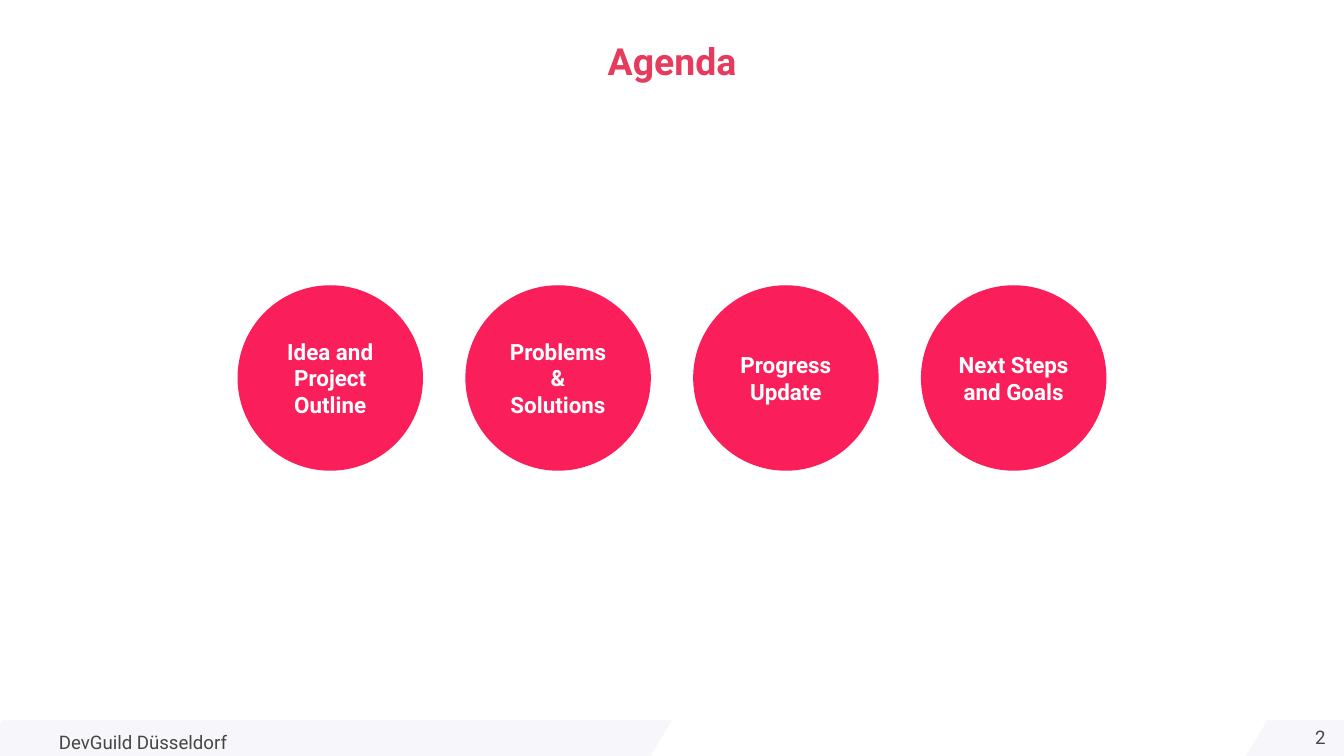
from pptx import Presentation
from pptx.dml.color import RGBColor
from pptx.enum.shapes import MSO_SHAPE as Shape
from pptx.enum.text import MSO_ANCHOR as Anchor, PP_ALIGN as Align
from pptx.util import Inches, Pt

PINK = RGBColor(0xFA, 0x1E, 0x5A)
TITLE_RED = RGBColor(0xE6, 0x3B, 0x5D)
PALE = RGBColor(0xF7, 0xF7, 0xFB)
GREY = RGBColor(0x46, 0x46, 0x46)
WHITE = RGBColor(0xFF, 0xFF, 0xFF)

WIDTH = 10
HEIGHT = WIDTH * 9 / 16
BAND_TOP = 5.36
CIRCLE_SIZE, CIRCLE_GAP = 1.38, 0.315
LABEL_WIDTH, LABEL_HEIGHT = 0.9, 0.66
TOPICS = ["Idea and Project Outline", "Problems & Solutions",
          "Progress Update", "Next Steps and Goals"]


class SlideBuilder:
    font = "Roboto"

    def __init__(self, slide):
        self.shapes = slide.shapes

    def paint(self, shape, color):
        shape.shadow.inherit = False
        shape.fill.solid()
        shape.fill.fore_color.rgb = color
        shape.line.fill.background()

    def band(self, points):
        corners = [(Inches(x), Inches(y)) for x, y in points]
        outline = self.shapes.build_freeform(*corners[0])
        outline.add_line_segments(corners[1:], close=True)
        self.paint(outline.convert_to_shape(), PALE)

    def circle(self, left, top, size):
        disc = self.shapes.add_shape(Shape.OVAL, Inches(left), Inches(top),
                                     Inches(size), Inches(size))
        self.paint(disc, PINK)

    def text(self, words, left, top, width, height, size, color, bold=False,
             align=Align.LEFT, anchor=Anchor.MIDDLE, inset=0.1, wrap=True):
        box = self.shapes.add_textbox(Inches(left), Inches(top),
                                      Inches(width), Inches(height))
        frame = box.text_frame
        frame.word_wrap = wrap
        frame.vertical_anchor = anchor
        frame.margin_left = frame.margin_right = Inches(inset)
        frame.margin_top = frame.margin_bottom = Inches(inset)
        frame.text = words
        para = frame.paragraphs[0]
        para.alignment = align
        font = para.runs[0].font
        font.name, font.size, font.bold = self.font, Pt(size), bold
        font.color.rgb = color


def main():
    deck = Presentation()
    deck.slide_width, deck.slide_height = Inches(WIDTH), Inches(HEIGHT)
    page = SlideBuilder(deck.slides.add_slide(deck.slide_layouts[6]))

    # Footer bands
    page.band([(9.27, HEIGHT), (9.43, BAND_TOP), (WIDTH, BAND_TOP), (WIDTH, HEIGHT)])
    page.band([(0, HEIGHT), (0, 5.39), (0.02, BAND_TOP), (5, BAND_TOP), (4.84, HEIGHT)])
    page.text("DevGuild Düsseldorf", 0.34, 5.34, 4.15, 0.37, 10, GREY)

    # Title and page number
    page.text("Agenda", 0.34, 0.07, 9.32, 0.76, 20, TITLE_RED, bold=True,
              align=Align.CENTER)
    page.text("2", 9.67, 5.32, 0.29, 0.37, 10, GREY, align=Align.RIGHT,
              anchor=Anchor.TOP, wrap=False)

    # Agenda circles, a row in the middle of the slide
    step = CIRCLE_SIZE + CIRCLE_GAP
    first_left = (WIDTH - step * len(TOPICS) + CIRCLE_GAP) / 2
    for index, topic in enumerate(TOPICS):
        left = first_left + index * step
        page.circle(left, (HEIGHT - CIRCLE_SIZE) / 2, CIRCLE_SIZE)
        page.text(topic, left + (CIRCLE_SIZE - LABEL_WIDTH) / 2,
                  (HEIGHT - LABEL_HEIGHT) / 2, LABEL_WIDTH, LABEL_HEIGHT,
                  12, WHITE, bold=True, align=Align.CENTER, inset=0.03)

    deck.save("out.pptx")


if __name__ == "__main__":
    main()
